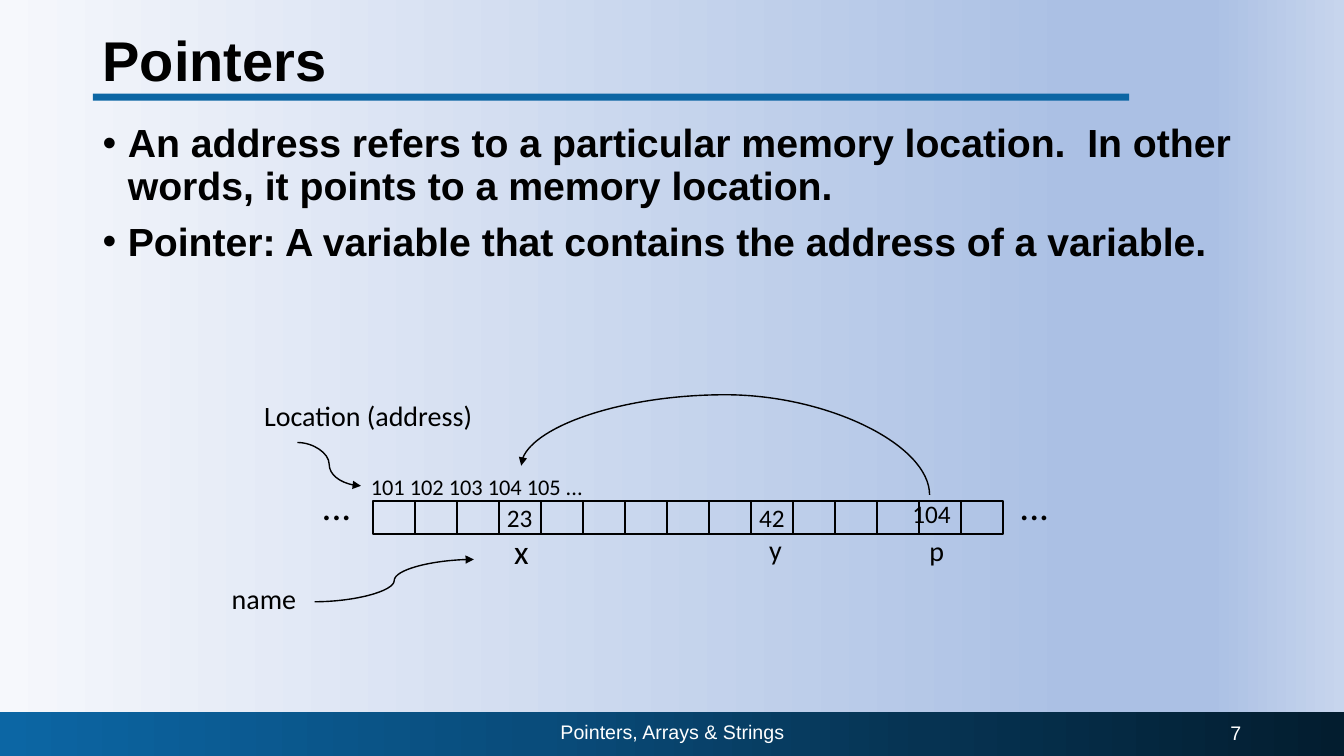
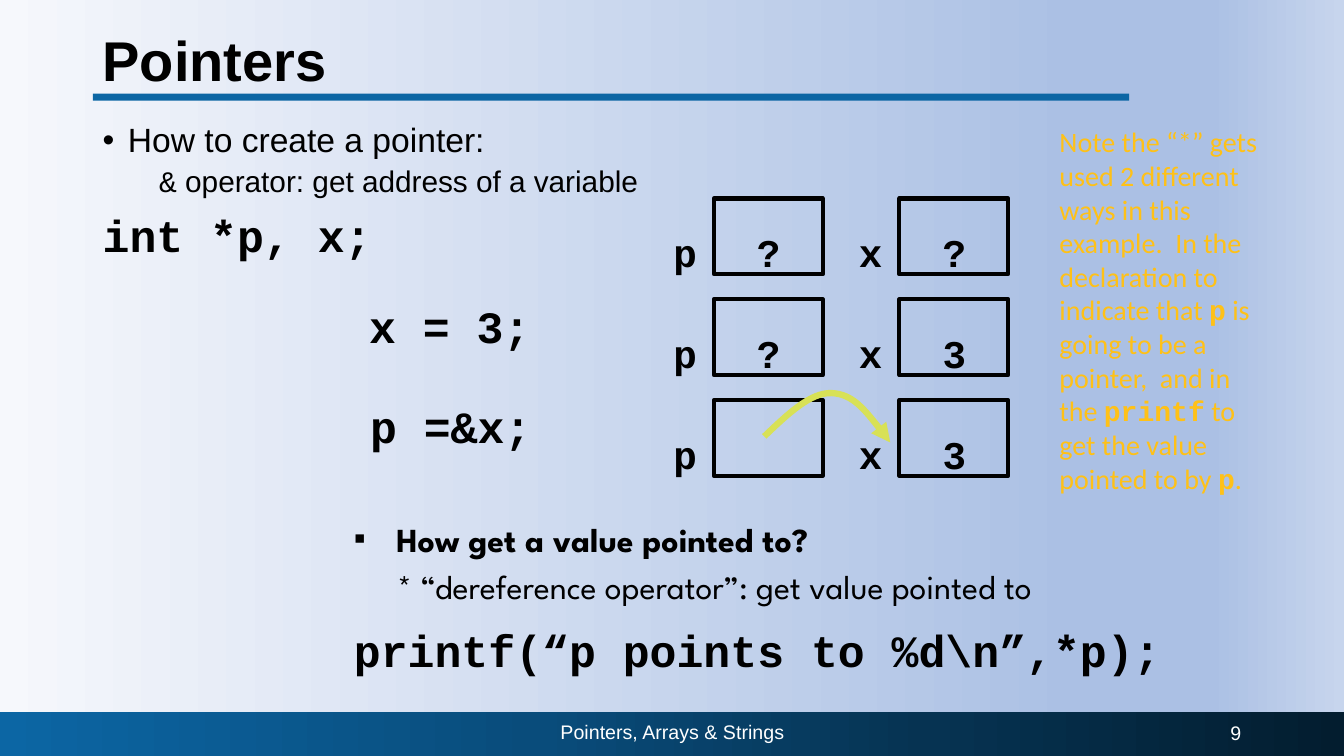
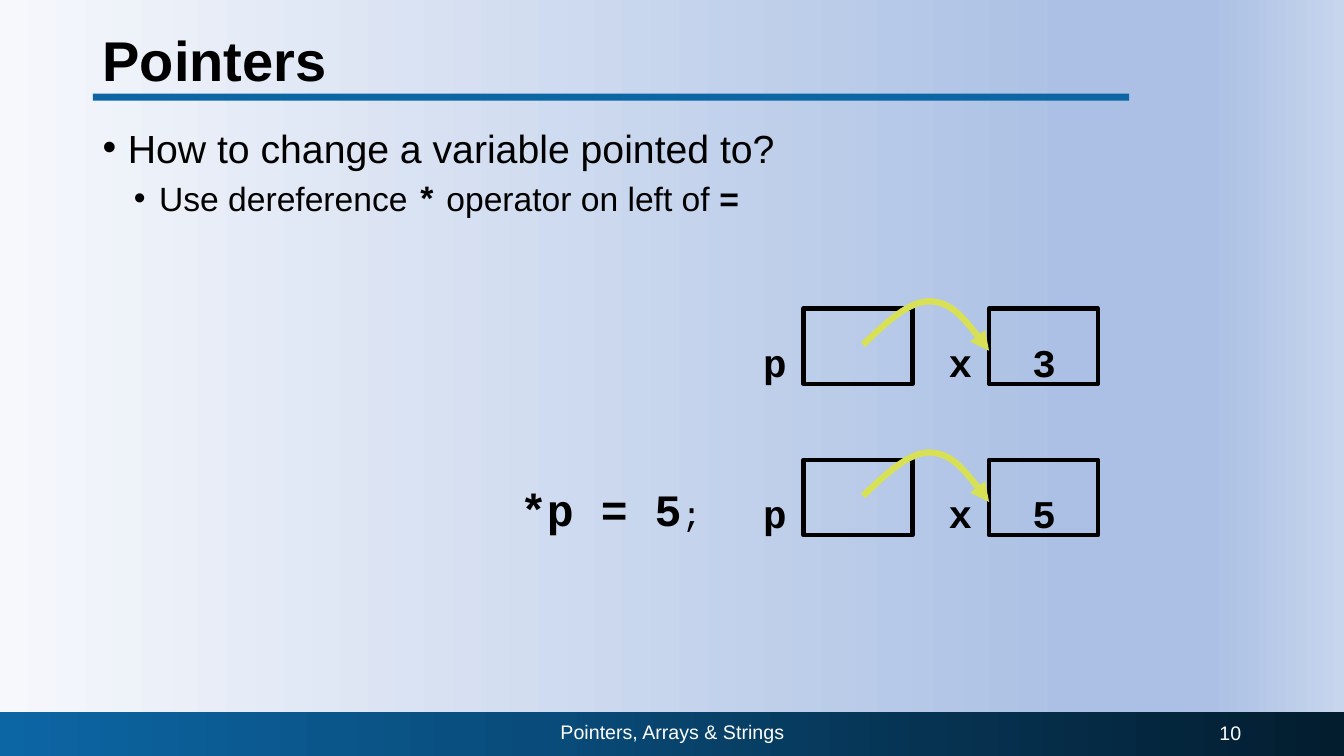
from lxml.etree import SubElement
from pptx import Presentation
from pptx.dml.color import RGBColor
from pptx.enum.shapes import MSO_CONNECTOR as Connector, MSO_SHAPE as Shape
from pptx.enum.text import MSO_ANCHOR as Anchor, MSO_AUTO_SIZE as AutoSize, PP_ALIGN as Align
from pptx.oxml.ns import qn
from pptx.util import Inches, Pt

# Shared look
WIDTH, HEIGHT = 13.33, 7.5
BLACK, WHITE, BLUE, LIME, AMBER = "000000", "FFFFFF", "0C66A4", "D8E156", "FFC117"
SKY = [(0, "F6F8FC"), (80, "ABC0E4"), (90, "ABC0E4"), (100, "C7D5ED")]
BAND = [(0, BLUE), (40, "094C7B"), (69, "063352"), (100, "031D2F")]
SANS, PLAIN, MONO, DISPLAY = "Arial", "Calibri", "Courier New", "League Spartan"
TITLE, FOOTER = "Pointers", "Pointers, Arrays & Strings"
BODY = (0.92, 1.18, 11.5, 5.64)
TIGHT = (0.07, 0.03)
CODE = dict(font=MONO, bold=True)


# Paragraph kinds; a run is a string or a (string, font changes) pair
def top_item(runs, size, **more):
    return dict(dict(runs=runs, size=size, font=SANS, indent=(0.25, -0.25),
                     before=10, bullet="•"), **more)


def sub_item(runs, size, **more):
    return top_item(runs, size, **dict(dict(indent=(0.56, -0.25), before=5), **more))


def code_line(text):
    return dict(CODE, runs=[text], size=32, indent=(0.22, -0.22), lines=0.75, before="65%")


# Slide 1: a row of memory cells
DEFINITIONS = [
    top_item(["An address refers to a particular memory location.  In other words, "
              "it points to a memory location."], 28, bold=True, lines=0.9),
    top_item(["Pointer: A variable that contains the address of a variable."],
             28, bold=True, lines=0.9),
]
CELLS, ROW_LEFT, ROW_TOP, ROW_WIDTH, CELL_HEIGHT = 15, 3.7, 4.97, 6.25, 0.33
ELLIPSIS = [" ", ("...", dict(size=28))]
MEMORY_LABELS = [  # runs, size, place
    (["23"], 18, (4.93, 4.93, 0.46, 0.4)),
    (["42"], 18, (7.43, 4.93, 0.46, 0.4)),
    (["104"], 18, (8.95, 4.89, 0.59, 0.4)),
    (ELLIPSIS, 20, (3.03, 4.73, 0.56, 0.57)),
    (ELLIPSIS, 20, (9.95, 4.73, 0.56, 0.57)),
    (["101 102 103 104 105 ..."], 16, (3.58, 4.64, 2.33, 0.37)),
    (["x"], 24, (5, 5.22, 0.35, 0.51)),
    (["y"], 20, (7.53, 5.23, 0.33, 0.44)),
    (["p"], 20, (9.12, 5.24, 0.35, 0.44)),
    (["Location (address)"], 20, (2.52, 3.9, 2.29, 0.44)),
    (["name"], 20, (2.2, 5.72, 0.85, 0.44)),
]
MEMORY_ARROWS = [  # start, end, bend share, quarter turns
    ((2.95, 4.39), (3.58, 4.82), 0.5, 0),
    ((3.12, 5.97), (4.7, 5.55), 0.5, 0),
    ((7.34, 2.74), (7.05, 6.79), 3.425, 1),
]

# Slide 2: creating and reading a pointer
CREATION = [
    top_item(["How to create a pointer:"], 24, lines=0.9),
    sub_item([("\t&", dict(font=MONO)), " operator: get address of a variable"],
             21.3, lines=0.9, bullet=None),
    top_item(["int *p, x;"], 32, lines=0.9, bullet=None, **CODE),
]
STATES = [("?", "?"), ("?", "3"), (None, "3")]  # None: p points to x
STEPS = [("x = 3;", (3.59, 3.06, 2.08, 0.49)), ("p =&x;", (3.6, 4.05, 2.08, 0.49))]
READING = [
    dict(runs=["How get a value pointed to?"], size=24, font=DISPLAY, bold=True,
         indent=(0.42, -0.42), lines=0.75, before="65%", bullet="▪"),
    dict(runs=[" * “dereference operator”: get value pointed to"], size=24, font=DISPLAY,
         indent=(0.56, -0.21), lines=0.85, before="40%"),
    code_line("printf(“p points to %d\\n”,*p);"),
]
NOTE = [
    "Note the “*” gets used 2 different ways in this example.  In the  declaration "
    "to indicate that ", ("p", CODE), " is going to be a pointer,  and in the ",
    ("printf", CODE), " to get the value pointed to by ", ("p", CODE), ".",
]

# Slide 3: writing through a pointer
CHANGE = [
    top_item(["How to change a variable pointed to?"], 28),
    sub_item(["Use dereference ", ("*", CODE), " operator on left of ", ("=", CODE)], 24),
]
ASSIGNMENT = ["*p = 5", (";", dict(size=24, bold=False))]

# Variable boxes and the arc from p to x, as steps from the arc's start
BOX_WIDTH, BOX_HEIGHT, X_STEP = 1.08, 0.75, 1.84
ARC = [(0.23, -0.22), (0.46, -0.44), (0.67, -0.43),
       (0.88, -0.42), (1.07, -0.18), (1.25, 0.06)]


def color(value):
    return RGBColor.from_string(value)


def gradient(fill, holder, stops):
    fill.gradient()
    fill.gradient_angle = 0
    stop_list = holder.find(".//" + qn("a:gsLst"))
    stop_list.clear()
    for share, value in stops:
        stop = SubElement(stop_list, qn("a:gs"), pos=str(share * 1000))
        SubElement(stop, qn("a:srgbClr"), val=value)


def style(font, size=None, font_name=None, bold=None, ink=None):
    if size:
        font.size = Pt(size)
    if font_name:
        font.name = font_name
    if bold is not None:
        font.bold = bold
    if ink:
        font.color.rgb = color(ink)


def fill_para(para, runs, size, font=PLAIN, bold=False, ink=BLACK, indent=None,
              lines=None, before=None, bullet=None, align=None):
    props = para._p.get_or_add_pPr()
    if indent:
        props.set("marL", str(Inches(indent[0])))
        props.set("indent", str(Inches(indent[1])))
    if lines:
        para.line_spacing = lines
    if isinstance(before, str):
        para.space_before = Pt(0)
        gap = props.find(qn("a:spcBef"))
        gap.clear()
        SubElement(gap, qn("a:spcPct"), val=str(int(before.rstrip("%")) * 1000))
    elif before:
        para.space_before = Pt(before)
    if bullet:
        SubElement(props, qn("a:buFont"), typeface=SANS)
        SubElement(props, qn("a:buChar"), char=bullet)
    if align is not None:
        para.alignment = align
    style(para.font, size, font, bold, ink)
    for item in runs:
        text, changes = (item, {}) if isinstance(item, str) else item
        span = para.add_run()
        span.text = text
        style(span.font, changes.get("size"), changes.get("font"), changes.get("bold"))


def add_text(page, place, paras, wrap=True, grow=False, anchor=Anchor.TOP, inset=(0.1, 0.05)):
    box = page.shapes.add_textbox(*map(Inches, place))
    frame = box.text_frame
    frame.word_wrap = wrap
    frame.auto_size = AutoSize.SHAPE_TO_FIT_TEXT if grow else AutoSize.NONE
    frame.vertical_anchor = anchor
    frame.margin_left = frame.margin_right = Inches(inset[0])
    frame.margin_top = frame.margin_bottom = Inches(inset[1])
    for index, content in enumerate(paras):
        fill_para(frame.add_paragraph() if index else frame.paragraphs[0], **content)


def add_label(page, place, runs, size, **look):
    add_text(page, place, [dict(look, runs=runs, size=size)], wrap=False, grow=True)


def add_rect(page, place, line_width=None):
    rect = page.shapes.add_shape(Shape.RECTANGLE, *map(Inches, place))
    rect.shadow.inherit = False
    rect.fill.background()
    if line_width:
        rect.line.color.rgb = color(BLACK)
        rect.line.width = Pt(line_width)
    else:
        rect.line.fill.background()
    return rect


def arrow_line(shape, ink, width):
    shape.line.color.rgb = color(ink)
    shape.line.width = Pt(width)
    SubElement(shape.line._get_or_add_ln(), qn("a:tailEnd"), type="triangle")


def add_curve(page, start, end, bend, turns):
    curve = page.shapes.add_connector(Connector.CURVE, *map(Inches, start + end))
    props = curve._element.spPr
    if turns:
        props.find(qn("a:xfrm")).set("rot", str(turns * 90 * 60000))
    geometry = props.find(qn("a:prstGeom"))
    guides = geometry.find(qn("a:avLst"))
    if guides is None:
        guides = SubElement(geometry, qn("a:avLst"))
    SubElement(guides, qn("a:gd"), name="adj1", fmla=f"val {round(bend * 100000)}")
    arrow_line(curve, BLACK, 1)
    SubElement(props, qn("a:effectLst"))


def add_arc(page, left, top):
    builder = page.shapes.build_freeform(Inches(left), Inches(top))
    builder.add_line_segments([(Inches(left + dx), Inches(top + dy)) for dx, dy in ARC],
                              close=False)
    arc = builder.convert_to_shape()
    arc.shadow.inherit = False
    arc.fill.background()
    arrow_line(arc, LIME, 4.5)
    # Every three points become one cubic curve
    segments = list(arc._element.iter(qn("a:lnTo")))
    outline = segments[0].getparent()
    for index, segment in enumerate(segments):
        if index % 3 == 0:
            cubic = SubElement(outline, qn("a:cubicBezTo"))
        cubic.append(segment[0])
        outline.remove(segment)


def add_state(page, left, top, p_value, x_value, arc_shift):
    for name, value, x in (("p", p_value, left), ("x", x_value, left + X_STEP)):
        add_rect(page, (x, top, BOX_WIDTH, BOX_HEIGHT), 3)
        for text, shift in ((name, -0.5), (value, 0.33)):
            if text:
                add_label(page, (x + shift, top + 0.25, 0.44, 0.57), [text], 28, **CODE)
    if p_value is None:
        add_arc(page, left + arc_shift, top + 0.36)


def add_page(deck, number, body):
    page = deck.slides.add_slide(deck.slide_layouts[6])
    band = add_rect(page, (0, 7.06, WIDTH, 0.44))
    gradient(band.fill, band._element, BAND)
    rule = add_rect(page, (0.92, 0.93, 10.28, 0.07))
    rule.fill.solid()
    rule.fill.fore_color.rgb = color(BLUE)
    add_text(page, (0.92, 0.12, 11.5, 1.01), anchor=Anchor.MIDDLE,
             paras=[dict(runs=[TITLE], size=40, font=SANS, bold=True, lines=0.9)])
    for text, place, align in ((FOOTER, (4.42, 7.06, 4.5, 0.4), Align.CENTER),
                               (str(number), (9.41, 7.07, 3, 0.4), Align.RIGHT)):
        add_text(page, place, anchor=Anchor.MIDDLE,
                 paras=[dict(runs=[text], size=14, font=SANS, ink=WHITE, align=align)])
    add_text(page, BODY, body)
    return page


def memory_page(deck):
    page = add_page(deck, 7, DEFINITIONS)
    pitch = ROW_WIDTH / CELLS
    for index in range(CELLS):
        add_rect(page, (ROW_LEFT + index * pitch, ROW_TOP, pitch, CELL_HEIGHT), 1)
    for runs, size, place in MEMORY_LABELS:
        add_label(page, place, runs, size)
    for arrow in MEMORY_ARROWS:
        add_curve(page, *arrow)


def creation_page(deck):
    page = add_page(deck, 9, CREATION)
    for row, (p_value, x_value) in enumerate(STATES):
        add_state(page, 7.08, 1.97 + row, p_value, x_value, 0.5)
    for text, place in STEPS:
        add_text(page, place, [code_line(text)], grow=True, inset=TIGHT)
    add_text(page, (3.44, 5.21, 9.75, 1.65), READING, grow=True, inset=TIGHT)
    add_text(page, (10.41, 1.19, 2.3, 3.8), [dict(runs=NOTE, size=20, ink=AMBER)], grow=True)


def change_page(deck):
    page = add_page(deck, 10, CHANGE)
    for row, x_value in enumerate(("3", "5")):
        add_state(page, 7.97, 3.06 + 1.5 * row, None, x_value, 0.59)
    add_label(page, (5.06, 4.73, 2.02, 0.64), ASSIGNMENT, 32, **CODE)


def main():
    deck = Presentation()
    deck.slide_width, deck.slide_height = Inches(WIDTH), Inches(HEIGHT)
    master = deck.slide_master
    gradient(master.background.fill, master._element, SKY)
    for build in (memory_page, creation_page, change_page):
        build(deck)
    deck.save("out.pptx")


if __name__ == "__main__":
    main()
